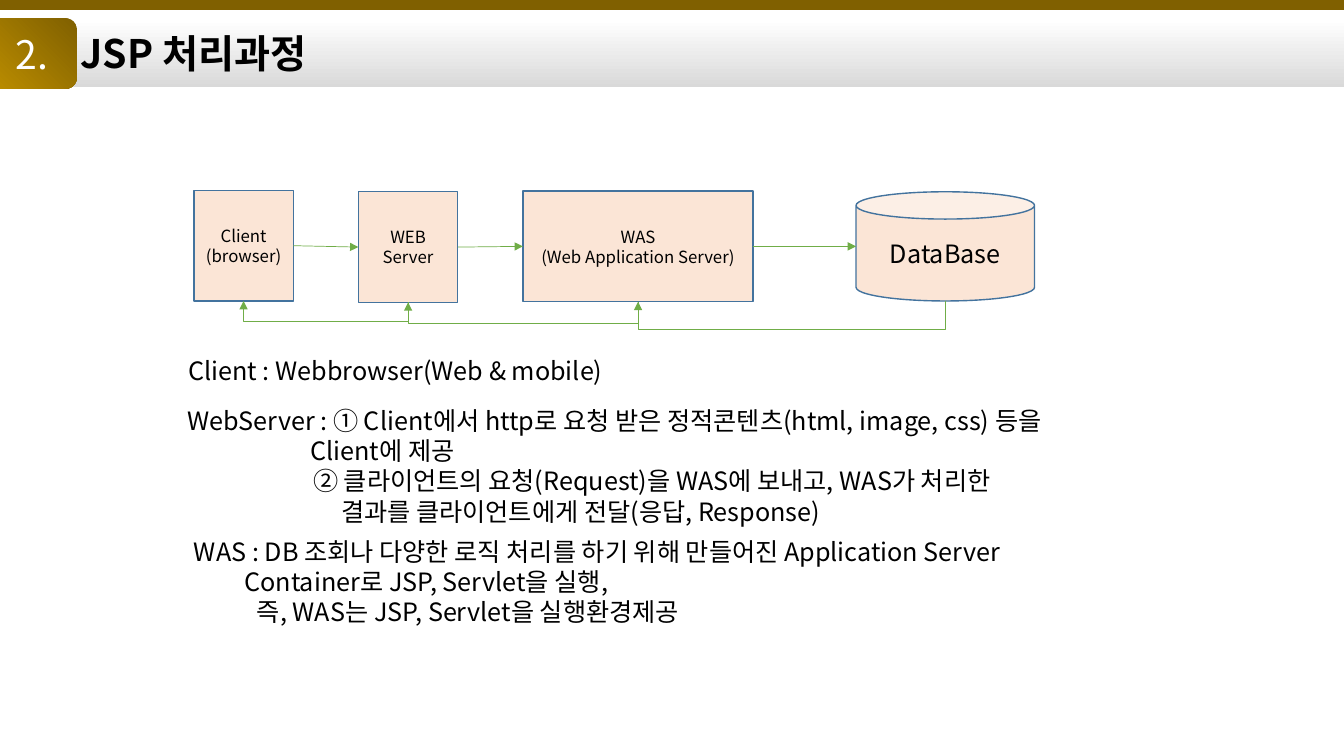
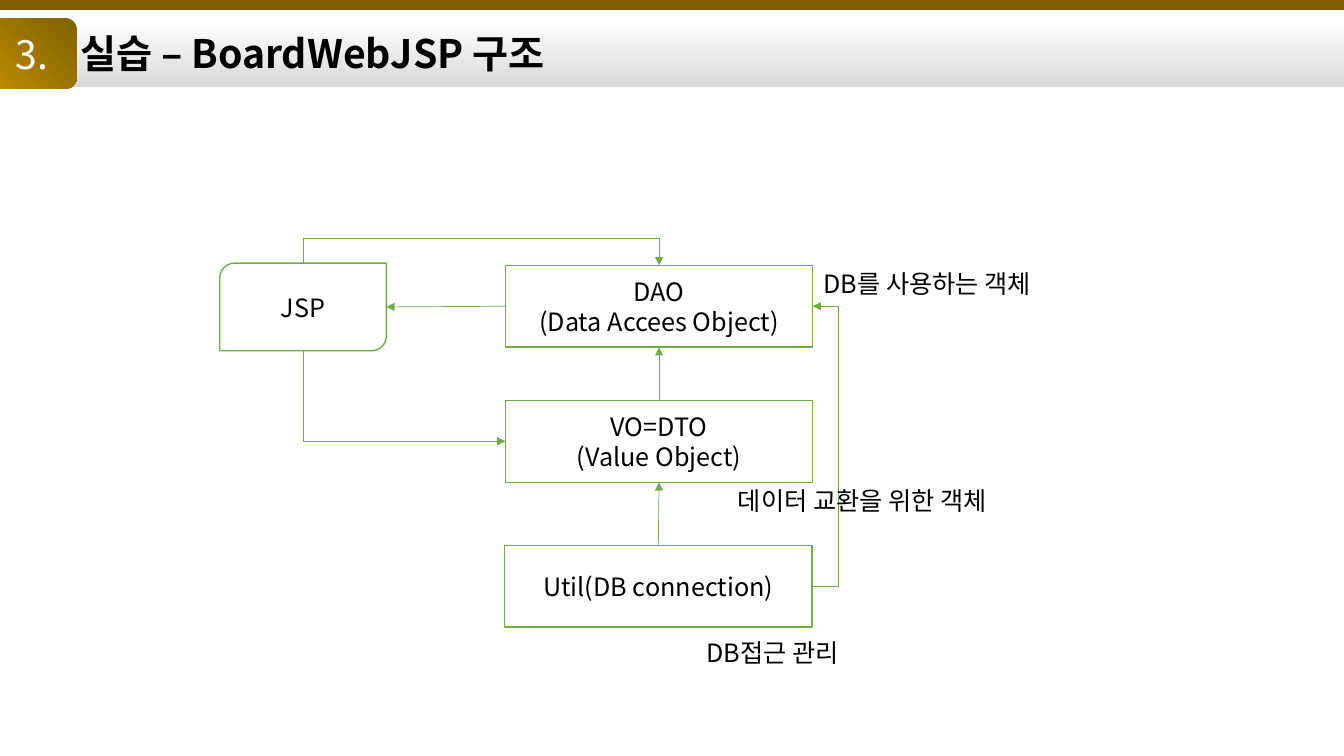
"""Builds two slides on JSP request handling and project structure."""
import pptx
import pptx.dml.color
import pptx.enum.shapes
import pptx.enum.text
import pptx.oxml.ns
import pptx.util
from lxml import etree

Pt = pptx.util.Pt
RGBColor = pptx.dml.color.RGBColor
SHAPE = pptx.enum.shapes.MSO_SHAPE
CONNECTOR = pptx.enum.shapes.MSO_CONNECTOR
ALIGN = pptx.enum.text.PP_ALIGN
ANCHOR = pptx.enum.text.MSO_ANCHOR
qn = pptx.oxml.ns.qn

FONT = "Noto Sans CJK KR"
BLACK = RGBColor(0x00, 0x00, 0x00)
WHITE = RGBColor(0xFF, 0xFF, 0xFF)
SILVER = RGBColor(0xD9, 0xD9, 0xD9)
BROWN = RGBColor(0x80, 0x60, 0x00)
GOLD = RGBColor(0xBF, 0x90, 0x00)
PEACH = RGBColor(0xFB, 0xE5, 0xD6)
BLUE = RGBColor(0x43, 0x73, 0x9E)
GREEN = RGBColor(0x70, 0xAD, 0x47)

SIDES = {
    SHAPE.RECTANGLE: ("top", "left", "bottom", "right"),
    SHAPE.CAN: ("lid", "top", "left", "bottom"),
    SHAPE.ROUND_2_DIAG_RECTANGLE: ("right", "bottom", "left", "top"),
}
SIDE_OFFSETS = {"top": (0.5, 0), "left": (0, 0.5), "bottom": (0.5, 1), "right": (1, 0.5)}


class Deck:
    """Holds the shared style and the slide being drawn."""

    def __init__(self):
        self.presentation = pptx.Presentation()
        self.presentation.slide_width = Pt(960)
        self.presentation.slide_height = Pt(540)
        self.slide = None

    def start_slide(self, number, title):
        """Adds a blank slide with the title bar, top band and number badge."""
        self.slide = self.presentation.slides.add_slide(self.presentation.slide_layouts[6])
        bar = self.shape(SHAPE.RECTANGLE, (31, 13.5, 930, 49))
        self.gradient(bar, WHITE, SILVER, 270)
        self.label(bar, [title], 28, align=ALIGN.LEFT, indents=[19.5], bold=True)
        self.shape(SHAPE.RECTANGLE, (0, 0, 960, 7), fill=BROWN)
        badge = self.shape(SHAPE.ROUNDED_RECTANGLE, (-13, 13, 68, 50.5))
        self.gradient(badge, BROWN, GOLD, 225)
        self.label(badge, [number], 28, color=WHITE)
        badge.text_frame.margin_left = Pt(11)

    def shape(self, kind, box, fill=None, line=None):
        """Adds a preset shape without shadow."""
        shape = self.slide.shapes.add_shape(kind, *map(Pt, box))
        shape.shadow.inherit = False
        if fill is not None:
            shape.fill.solid()
            shape.fill.fore_color.rgb = fill
        if line is None:
            shape.line.fill.background()
        else:
            shape.line.color.rgb = line
            shape.line.width = Pt(1)
        return shape

    def gradient(self, shape, first, last, angle):
        """Fills a shape with a two-colour linear gradient."""
        shape.fill.gradient()
        shape.fill.gradient_angle = angle
        for stop, color, position in zip(shape.fill.gradient_stops, (first, last), (0, 1)):
            stop.color.rgb = color
            stop.position = position

    def label(self, shape, lines, size, color=BLACK, align=ALIGN.CENTER, indents=(), bold=False):
        """Sets one paragraph per line, each with an optional left indent."""
        frame = shape.text_frame
        frame.word_wrap = True
        for index, text in enumerate(lines):
            paragraph = frame.add_paragraph() if index else frame.paragraphs[0]
            paragraph.text = text
            paragraph.alignment = align
            paragraph.line_spacing = Pt(size * 1.2)
            paragraph.font.size = Pt(size)
            paragraph.font.bold = bold
            paragraph.font.color.rgb = color
            paragraph.font.name = FONT
            properties = paragraph._p.get_or_add_pPr()
            etree.SubElement(properties.find(qn("a:defRPr")), qn("a:ea"), typeface=FONT)
            if index < len(indents):
                properties.set("marL", str(Pt(indents[index])))

    def box(self, bounds, lines, size=18, kind=SHAPE.RECTANGLE, fill=WHITE, line=GREEN):
        """Adds a labelled diagram box."""
        shape = self.shape(kind, bounds, fill, line)
        self.label(shape, lines, size)
        return shape

    def note(self, left, top, width, lines, indents=()):
        """Adds a left-aligned text box as tall as its lines."""
        height = 7.2 + 21.6 * len(lines)
        note = self.slide.shapes.add_textbox(*map(Pt, (left, top, width, height)))
        note.text_frame.vertical_anchor = ANCHOR.TOP
        self.label(note, lines, 18, align=ALIGN.LEFT, indents=indents)

    def side_point(self, shape, side):
        """Returns the middle of a side of a shape."""
        across, down = SIDE_OFFSETS[side]
        return shape.left + int(shape.width * across), shape.top + int(shape.height * down)

    def arrow(self, source, source_side, target, target_side, kind=CONNECTOR.STRAIGHT):
        """Adds an arrow that joins the sides of two shapes."""
        begin = self.side_point(source, source_side)
        end = self.side_point(target, target_side)
        connector = self.slide.shapes.add_connector(kind, *begin, *end)
        connector.begin_connect(source, SIDES[source.auto_shape_type].index(source_side))
        connector.end_connect(target, SIDES[target.auto_shape_type].index(target_side))
        self.place(connector, begin, end)
        connector.line.color.rgb = GREEN
        connector.line.width = Pt(0.5)
        properties = connector._element.spPr
        etree.SubElement(properties.find(qn("a:ln")), qn("a:tailEnd"), type="triangle")
        etree.SubElement(properties, qn("a:effectLst"))
        return connector, begin, end

    def place(self, connector, begin, end):
        """Moves both ends of a connector."""
        connector.begin_x, connector.begin_y = begin
        connector.end_x, connector.end_y = end

    def elbow(self, source, source_side, target, target_side, via=None):
        """Adds a bent arrow; via is the middle leg's coordinate, absent for one corner."""
        connector, begin, end = self.arrow(
            source, source_side, target, target_side, CONNECTOR.ELBOW)
        properties = connector._element.spPr
        axis = 1 if source_side in ("top", "bottom") else 0
        run = end[axis] - begin[axis]
        if axis:
            middle_x, middle_y = (begin[0] + end[0]) // 2, (begin[1] + end[1]) // 2
            half_x, half_y = run // 2, (begin[0] - end[0]) // 2
            self.place(connector, (middle_x - half_x, middle_y - half_y),
                       (middle_x + half_x, middle_y + half_y))
            properties.find(qn("a:xfrm")).set("rot", "5400000")
        geometry = properties.find(qn("a:prstGeom"))
        if via is None:
            geometry.set("prst", "bentConnector2")
            return
        guides = geometry.find(qn("a:avLst"))
        if guides is None:
            guides = etree.SubElement(geometry, qn("a:avLst"))
        ratio = round((Pt(via) - begin[axis]) / run * 100000)
        etree.SubElement(guides, qn("a:gd"), name="adj1", fmla=f"val {ratio}")


def draw_process(deck):
    """Draws the request path from client to database."""
    deck.start_slide("2.", "JSP 처리과정")
    style = {"fill": PEACH, "line": BLUE}
    client = deck.box((138.5, 136, 71, 79), ["Client", "(browser)"], 12, **style)
    web = deck.box((256, 137, 71, 79), ["WEB Server"], 12, **style)
    was = deck.box((373.5, 136.5, 164.5, 79), ["WAS", "(Web Application Server)"], 12, **style)
    database = deck.box((611.5, 137, 127.5, 78), ["DataBase"], kind=SHAPE.CAN, **style)
    stations = [client, web, was, database]
    for source, target in zip(stations, stations[1:]):
        target_side = "left"
        deck.arrow(source, "right", target, target_side)
    for source, target, level in ((database, was, 235), (was, web, 231), (web, client, 229.5)):
        deck.elbow(source, "bottom", target, "bottom", level)
    deck.note(127.5, 250, 320, ["Client : Webbrowser(Web & mobile)"])
    deck.note(126.5, 286, 675, [
        "WebServer : ① Client에서 http로 요청 받은 정적콘텐츠(html, image, css) 등을",
        "Client에 제공",
        "② 클라이언트의 요청(Request)을 WAS에 보내고, WAS가 처리한",
        "결과를 클라이언트에게 전달(응답, Response)",
    ], (0, 88, 90, 110))
    deck.note(131.5, 379.5, 645, [
        "WAS : DB 조회나 다양한 로직 처리를 하기 위해 만들어진 Application Server",
        "Container로 JSP, Servlet을 실행,",
        "즉, WAS는 JSP, Servlet을 실행환경제공",
    ], (0, 36, 45))


def draw_structure(deck):
    """Draws the classes of the board project."""
    deck.start_slide("3.", "실습 – BoardWebJSP 구조")
    page = deck.box((157, 188, 119, 62.5), ["JSP"], kind=SHAPE.ROUND_2_DIAG_RECTANGLE)
    dao = deck.box((361, 189.5, 219.5, 58.5), ["DAO", "(Data Accees Object)"])
    value = deck.box((361, 286, 219.5, 58.5), ["VO=DTO", "(Value Object)"])
    util = deck.box((360.5, 389.5, 219.5, 58.5), ["Util(DB connection)"])
    deck.arrow(util, "top", value, "bottom")
    deck.arrow(value, "top", dao, "bottom")
    deck.arrow(dao, "left", page, "right")
    deck.elbow(page, "bottom", value, "left")
    deck.elbow(util, "right", dao, "right", 598.5)
    deck.elbow(page, "top", dao, "top", 170)
    deck.note(581, 188, 179, ["DB를 사용하는 객체"])
    deck.note(520, 343, 215, ["데이터 교환을 위한 객체"])
    deck.note(497.5, 452, 119, ["DB접근 관리"])


def main():
    """Builds and saves the presentation."""
    deck = Deck()
    draw_process(deck)
    draw_structure(deck)
    deck.presentation.save("out.pptx")


if __name__ == "__main__":
    main()
